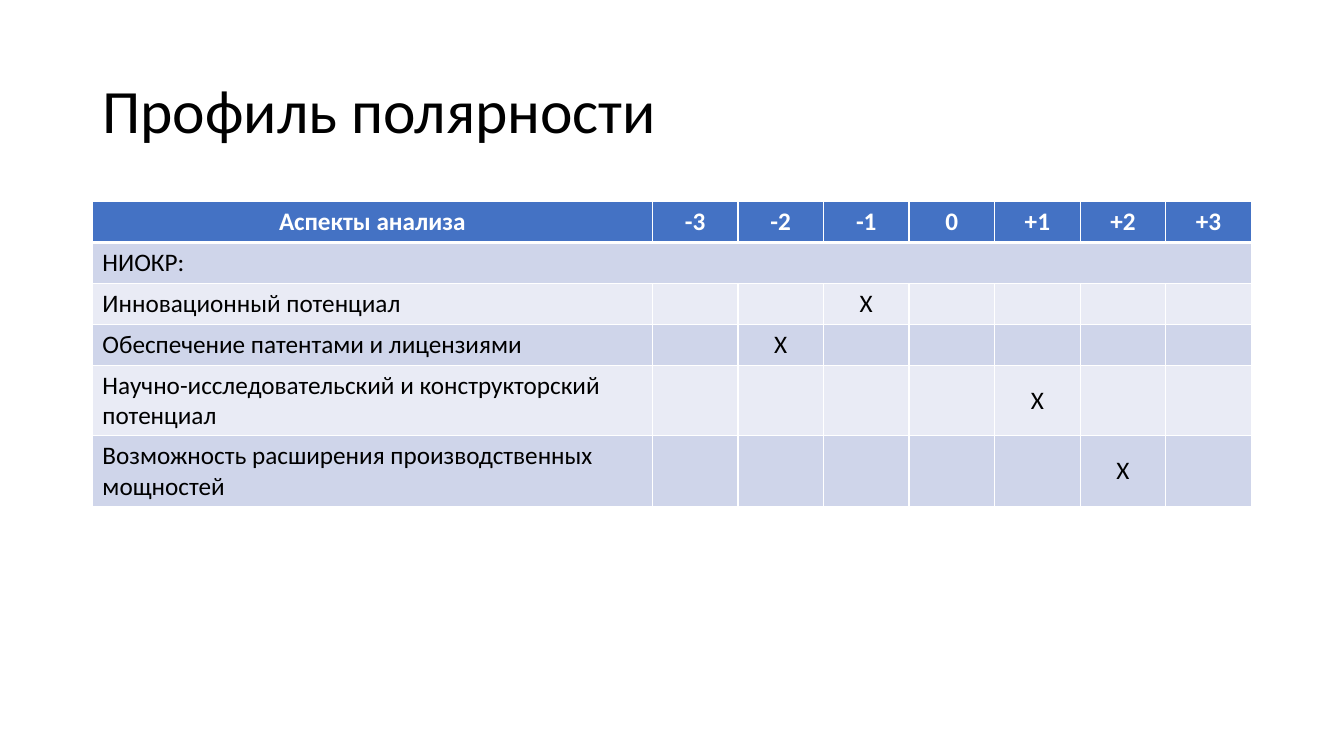
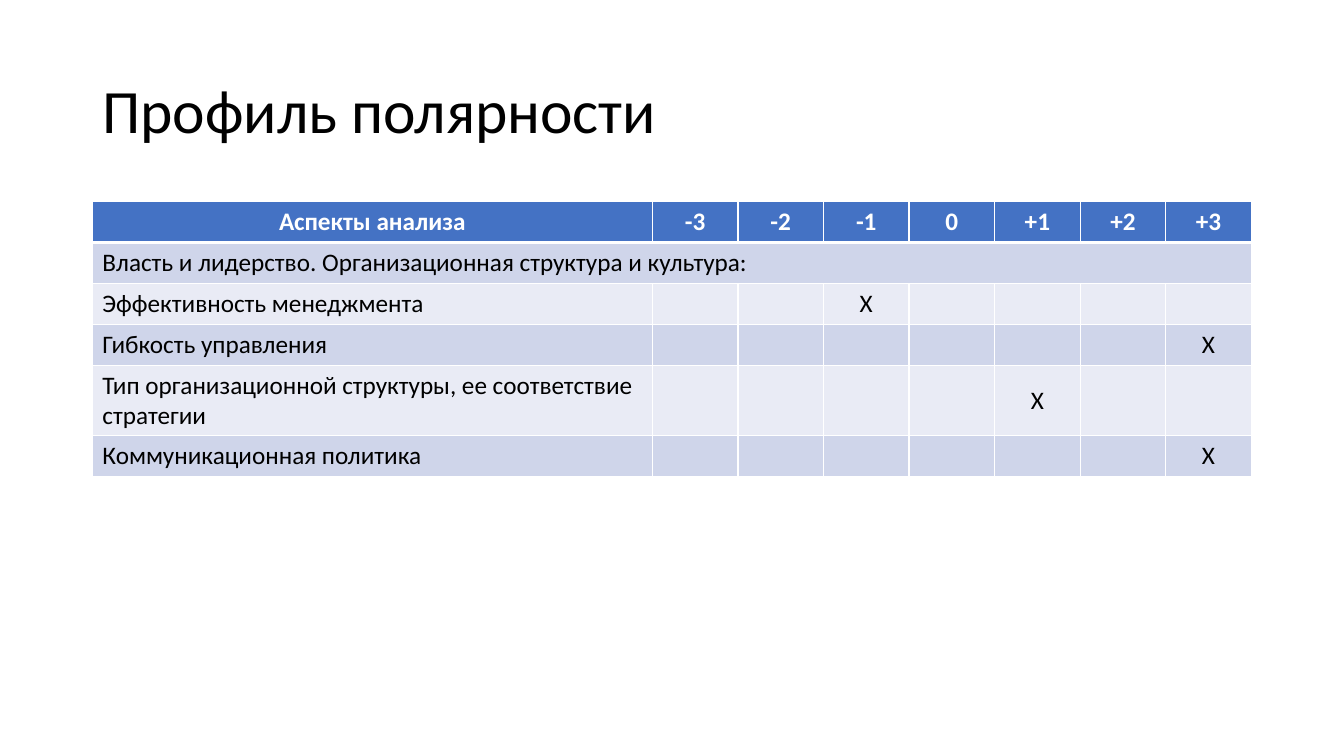
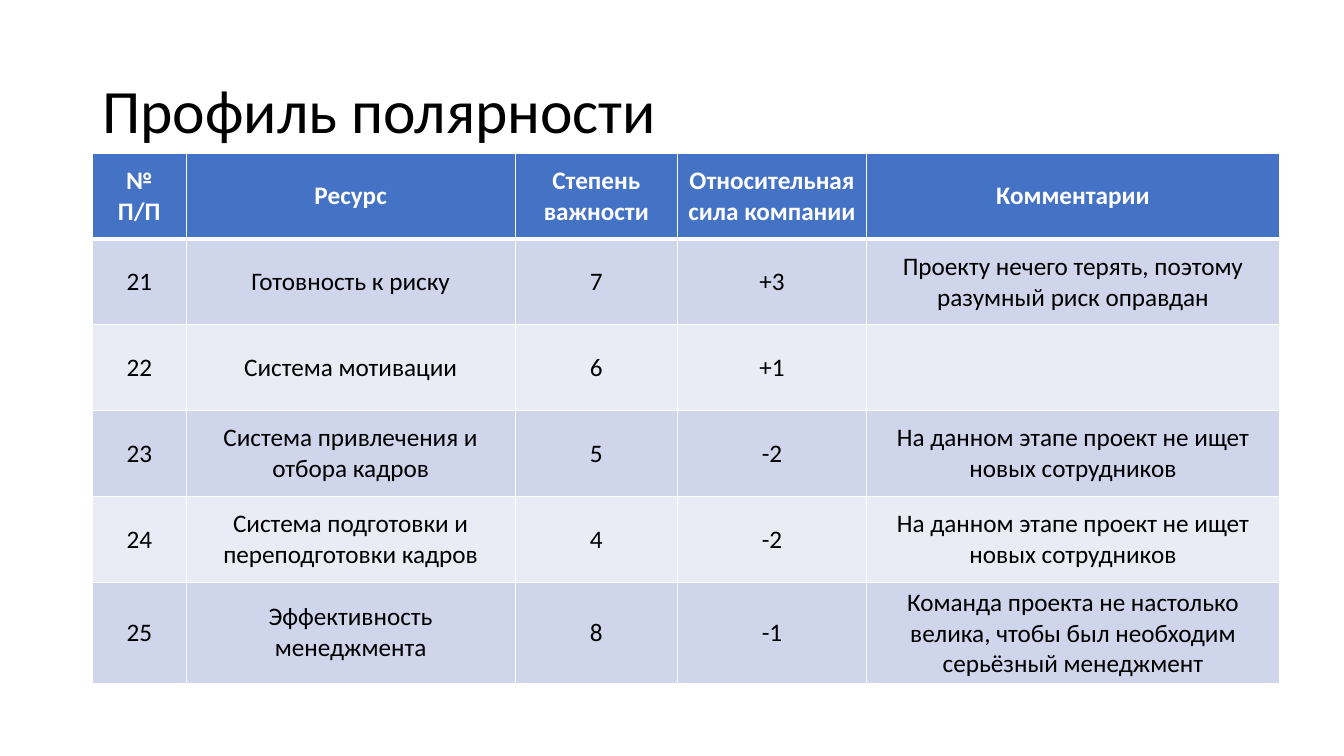
from lxml import etree
from pptx import Presentation
from pptx.dml.color import RGBColor
from pptx.enum.text import MSO_ANCHOR, PP_ALIGN
from pptx.oxml.ns import qn
from pptx.util import Pt

LEFT, CENTER = PP_ALIGN.LEFT, PP_ALIGN.CENTER
TOP, MIDDLE = MSO_ANCHOR.TOP, MSO_ANCHOR.MIDDLE

WHITE, BLACK, BLUE = "FFFFFF", "000000", "4472C4"
BANDS = ["CFD5EA", "E9EBF5"]
TITLE = {"name": "Calibri", "size": Pt(44), "bold": False}
HEADER = {"name": "Calibri", "size": Pt(18), "bold": True}
BODY = {"name": "Calibri", "size": Pt(18), "bold": False}

TABLE_LEFT = 66
CONTENT_WIDTH = 828
ASPECT_WIDTH = 400
SCORES = ["-3", "-2", "-1", "0", "+1", "+2", "+3"]

PROFILES = [
    ("НИОКР:", [
        ("Инновационный потенциал", "-1"),
        ("Обеспечение патентами и лицензиями", "-2"),
        ("Научно-исследовательский и конструкторский потенциал", "+1"),
        ("Возможность расширения производственных мощностей", "+2"),
    ]),
    ("Власть и лидерство. Организационная структура и культура:", [
        ("Эффективность менеджмента", "-1"),
        ("Гибкость управления", "+3"),
        ("Тип организационной структуры, ее соответствие стратегии", "+1"),
        ("Коммуникационная политика", "+3"),
    ]),
]

RESOURCES = [
    ["№ П/П", "Ресурс", "Степень важности", "Относительная сила компании", "Комментарии"],
    ["21", "Готовность к риску", "7", "+3", "Проекту нечего терять, поэтому разумный риск оправдан"],
    ["22", "Система мотивации", "6", "+1", ""],
    ["23", "Система привлечения и отбора кадров", "5", "-2",
     "На данном этапе проект не ищет новых сотрудников"],
    ["24", "Система подготовки и переподготовки кадров", "4", "-2",
     "На данном этапе проект не ищет новых сотрудников"],
    ["25", "Эффективность менеджмента", "8", "-1",
     "Команда проекта не настолько велика, чтобы был необходим серьёзный менеджмент"],
]
RESOURCE_WIDTHS = [67, 235, 116, 135, 295]


def color(value):
    """Turn a hex string into a colour."""
    return RGBColor.from_string(value)


class Deck:
    """Hold the deck style and the current page."""

    def __init__(self):
        """Start an empty widescreen deck."""
        self.deck = Presentation()
        self.deck.slide_width, self.deck.slide_height = Pt(960), Pt(540)
        self.page = None

    def add_page(self, title):
        """Add a blank page with its title."""
        self.page = self.deck.slides.add_slide(self.deck.slide_layouts[6])
        box = self.page.shapes.add_textbox(Pt(TABLE_LEFT), Pt(28.8), Pt(CONTENT_WIDTH), Pt(104.4))
        box.text_frame.word_wrap = True
        box.text_frame.vertical_anchor = MIDDLE
        para = box.text_frame.paragraphs[0]
        para.line_spacing = 0.9
        self.add_span(para, title, TITLE, BLACK)

    def add_span(self, para, text, style, ink):
        """Add one styled span to a paragraph."""
        span = para.add_run()
        span.text = text
        for name, value in style.items():
            setattr(span.font, name, value)
        span.font.color.rgb = color(ink)

    def border(self, cell, row):
        """Draw white cell borders, thick below the header."""
        properties = cell._tc.get_or_add_tcPr()
        thick = {0: "lnB", 1: "lnT"}.get(row)
        for side in ("lnL", "lnR", "lnT", "lnB"):
            width = Pt(3 if side == thick else 1)
            line = etree.SubElement(properties, qn(f"a:{side}"), w=str(width))
            fill = etree.SubElement(line, qn("a:solidFill"))
            etree.SubElement(fill, qn("a:srgbClr"), val=WHITE)

    def cell(self, cell, text, row, centered):
        """Style and fill one table cell."""
        self.border(cell, row)
        cell.fill.solid()
        cell.fill.fore_color.rgb = color(BANDS[(row - 1) % 2] if row else BLUE)
        cell.vertical_anchor = MIDDLE if centered else TOP
        para = cell.text_frame.paragraphs[0]
        para.alignment = CENTER if centered else LEFT
        if text:
            self.add_span(para, text, BODY if row else HEADER, BLACK if row else WHITE)

    def table(self, rows, widths, top, row_height, labels_left=False):
        """Add a banded table, with left-aligned row labels if asked."""
        frame = self.page.shapes.add_table(
            len(rows), len(widths), Pt(TABLE_LEFT), Pt(top),
            Pt(sum(widths)), Pt(row_height * len(rows)))
        table = frame.table
        for column, width in zip(table.columns, widths):
            column.width = Pt(width)
        for row, texts in enumerate(rows):
            table.rows[row].height = Pt(row_height)
            for column, text in enumerate(texts):
                centered = not (labels_left and row and column == 0)
                self.cell(table.cell(row, column), text, row, centered)
        return table

    def profile(self, group, marks):
        """Add a polarity table with one mark per aspect."""
        rows = [["Аспекты анализа", *SCORES], [group] + [""] * len(SCORES)]
        for aspect, mark in marks:
            rows.append([aspect] + ["X" if score == mark else "" for score in SCORES])
        score_width = (CONTENT_WIDTH - ASPECT_WIDTH) / len(SCORES)
        widths = [ASPECT_WIDTH] + [score_width] * len(SCORES)
        table = self.table(rows, widths, 144, 29.2, labels_left=True)
        table.cell(1, 0).merge(table.cell(1, len(SCORES)))


def main():
    """Build and save the deck."""
    deck = Deck()
    title = "Профиль полярности"
    for group, marks in PROFILES:
        deck.add_page(title)
        deck.profile(group, marks)
    deck.add_page(title)
    deck.table(RESOURCES, RESOURCE_WIDTHS, 109.5, 61.3)
    deck.deck.save("out.pptx")


if __name__ == "__main__":
    main()
